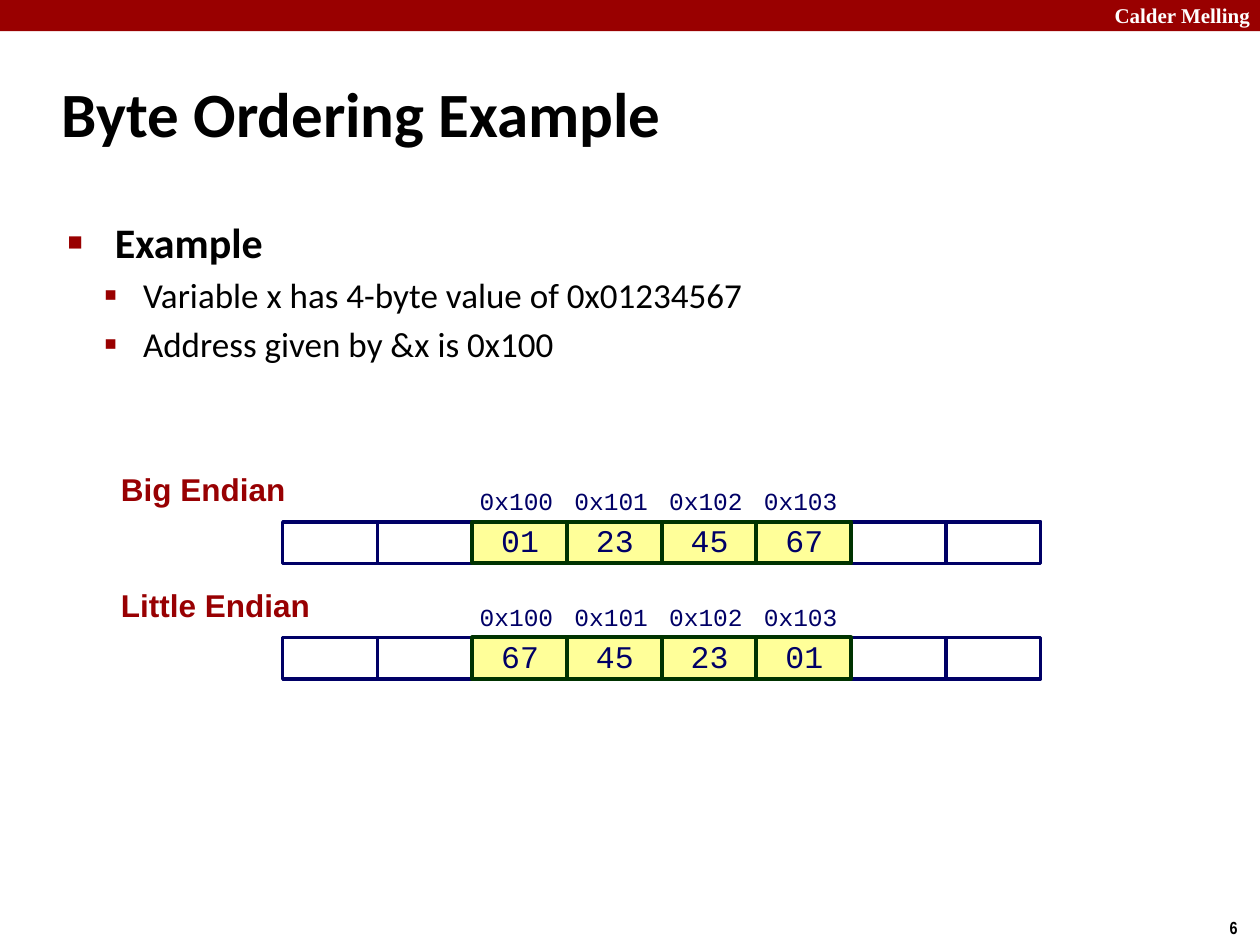
from dataclasses import dataclass

from lxml.etree import SubElement
from pptx import Presentation
from pptx.dml.color import RGBColor
from pptx.enum.shapes import MSO_SHAPE
from pptx.enum.text import MSO_ANCHOR, PP_ALIGN
from pptx.oxml.ns import qn
from pptx.util import Cm, Pt

RED, NAVY, GREEN = "990000", "000066", "003300"
WHITE, BLACK, YELLOW = "FFFFFF", "000000", "FFFF99"
CELL_LEFT, CELL_WIDTH, CELL_HEIGHT = 5.7, 1.91, 0.84
CELL_COUNT, FIRST_BYTE = 8, 2


@dataclass
class Style:
    font: str
    size: float
    color: str
    bold: bool = False


@dataclass
class Bullet:
    text: str
    level: int
    style: Style
    left: float
    hanging: float
    mark: str
    percent: int


@dataclass
class MemoryRow:
    label: str
    top: float
    values: list[str]


def color(value: str) -> RGBColor:
    return RGBColor.from_string(value)


def place(box, left: float, top: float, width: float, height: float) -> None:
    box.left, box.top, box.width, box.height = Cm(left), Cm(top), Cm(width), Cm(height)


def format_runs(para, style: Style) -> None:
    for span in para.runs:
        span.font.name = style.font
        span.font.size = Pt(style.size)
        span.font.bold = style.bold
        span.font.color.rgb = color(style.color)


def set_margins(frame, left: float, top: float, right: float, bottom: float) -> None:
    frame.margin_left, frame.margin_top = Cm(left), Cm(top)
    frame.margin_right, frame.margin_bottom = Cm(right), Cm(bottom)


def add_text(page, text: str, style: Style, left: float, top: float,
             width: float, height: float, wrap: bool = True):
    box = page.shapes.add_textbox(Cm(left), Cm(top), Cm(width), Cm(height))
    frame = box.text_frame
    frame.word_wrap = wrap
    frame.text = text
    format_runs(frame.paragraphs[0], style)
    return frame


def add_rectangle(page, left: float, top: float, width: float, height: float,
                  fill: str, line: str = "", weight: float = 0):
    box = page.shapes.add_shape(MSO_SHAPE.RECTANGLE, Cm(left), Cm(top), Cm(width), Cm(height))
    box.shadow.inherit = False
    box.fill.solid()
    box.fill.fore_color.rgb = color(fill)
    if line:
        box.line.color.rgb = color(line)
        box.line.width = Pt(weight)
    else:
        box.line.fill.background()
    return box


def add_bullet(para, bullet: Bullet) -> None:
    para.text = bullet.text
    para.level = bullet.level
    format_runs(para, bullet.style)
    properties = para._p.get_or_add_pPr()
    properties.set("marL", str(Cm(bullet.left)))
    properties.set("indent", str(-Cm(bullet.hanging)))
    SubElement(SubElement(properties, qn("a:buClr")), qn("a:srgbClr")).set("val", RED)
    SubElement(properties, qn("a:buSzPct")).set("val", str(bullet.percent * 1000))
    SubElement(properties, qn("a:buChar")).set("char", bullet.mark)


def add_memory_row(page, row: MemoryRow) -> None:
    label = add_text(page, row.label, Style("Arial", 18, "980002", True),
                     2.34, row.top - 1.07, 4.98, 0.91)
    set_margins(label, 0.1, 0.08, 0.18, 0.08)
    label.paragraphs[0].line_spacing = 0.95

    # Empty cells first, so that the byte borders lie on top
    byte_columns = range(FIRST_BYTE, FIRST_BYTE + len(row.values))
    for column in range(CELL_COUNT):
        if column not in byte_columns:
            add_rectangle(page, CELL_LEFT + column * CELL_WIDTH, row.top,
                          CELL_WIDTH, CELL_HEIGHT, WHITE, NAVY, 2)

    # Bytes with their addresses
    for offset, value in enumerate(row.values):
        left = CELL_LEFT + byte_columns[offset] * CELL_WIDTH
        address = add_text(page, f"0x{0x100 + offset:x}", Style("Courier New", 14, NAVY),
                           left, row.top - CELL_HEIGHT, CELL_WIDTH, CELL_HEIGHT, wrap=False)
        set_margins(address, 0.15, 0.15, 0.25, 0.15)
        address.vertical_anchor = MSO_ANCHOR.MIDDLE

        cell = add_rectangle(page, left, row.top, CELL_WIDTH, CELL_HEIGHT, YELLOW, GREEN, 2.25)
        frame = cell.text_frame
        frame.text = value
        frame.word_wrap = False
        frame.vertical_anchor = MSO_ANCHOR.MIDDLE
        set_margins(frame, 0.15, 0.15, 0.13, 0.15)
        frame.paragraphs[0].alignment = PP_ALIGN.CENTER
        frame.paragraphs[0].line_spacing = 0.9
        format_runs(frame.paragraphs[0], Style("Courier New", 18, NAVY))


deck = Presentation()
deck.slide_width, deck.slide_height = Cm(25.4), Cm(19.05)
page = deck.slides.add_slide(deck.slide_layouts[1])

# Top banner and page number
add_rectangle(page, 0, 0, 25.4, 0.63, RED)
banner = add_text(page, "Calder Melling", Style("Times New Roman", 12, WHITE, True),
                  21.4, -0.08, 4.05, 0.76, wrap=False)
banner.paragraphs[0].alignment = PP_ALIGN.RIGHT
add_text(page, "6", Style("Arial Narrow", 10, BLACK, True), 24.54, 18.36, 0.86, 0.69, wrap=False)

# Title
title = page.shapes.title
place(title, 0.99, 1.2, 21.08, 2.11)
title.text_frame.text = "Byte Ordering Example"
title.text_frame.vertical_anchor = MSO_ANCHOR.MIDDLE
title.text_frame.paragraphs[0].alignment = PP_ALIGN.LEFT
format_runs(title.text_frame.paragraphs[0], Style("Calibri", 36, BLACK, True))

# Bulleted list
heading = Style("Calibri", 24, BLACK, True)
detail = Style("Calibri", 20, BLACK)
bullets = [
    Bullet("Example", 0, heading, 0.95, 0.95, "■", 60),
    Bullet("Variable x has 4-byte value of 0x01234567", 1, detail, 1.52, 0.79, "▪", 110),
    Bullet("Address given by &x is 0x100", 1, detail, 1.52, 0.79, "▪", 110),
]
body = page.placeholders[1]
place(body, 1.11, 4.23, 21.95, 13.36)
for index, bullet in enumerate(bullets):
    frame = body.text_frame
    add_bullet(frame.add_paragraph() if index else frame.paragraphs[0], bullet)

# Memory diagrams
big_endian = ["01", "23", "45", "67"]
add_memory_row(page, MemoryRow("Big Endian", 10.52, big_endian))
add_memory_row(page, MemoryRow("Little Endian", 12.85, big_endian[::-1]))

deck.save("out.pptx")
